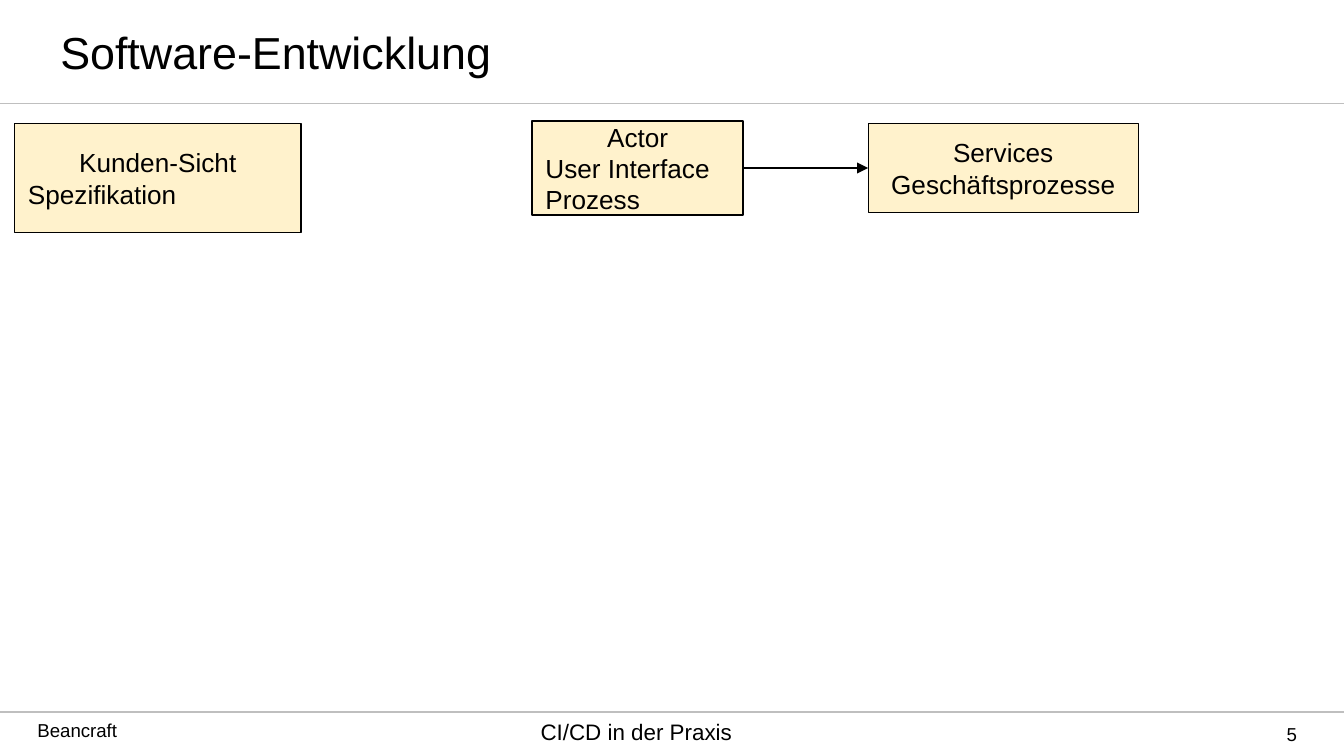
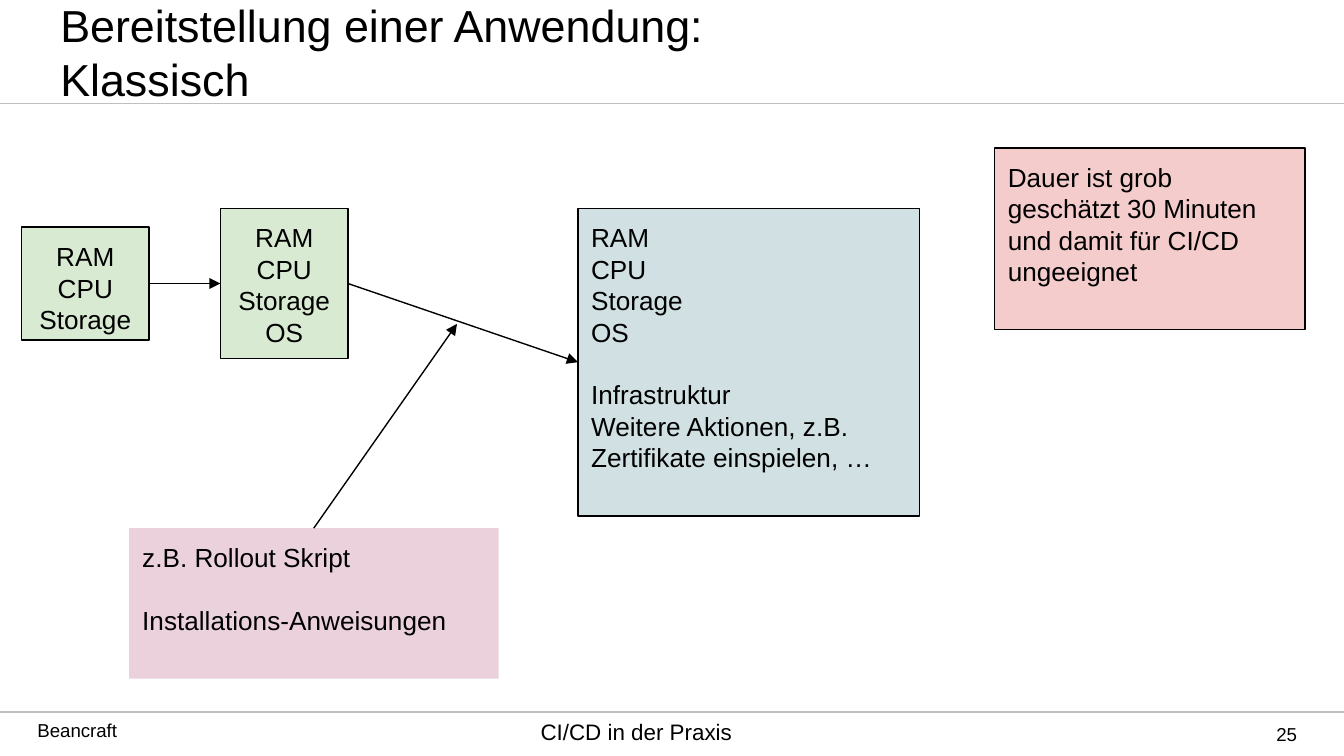
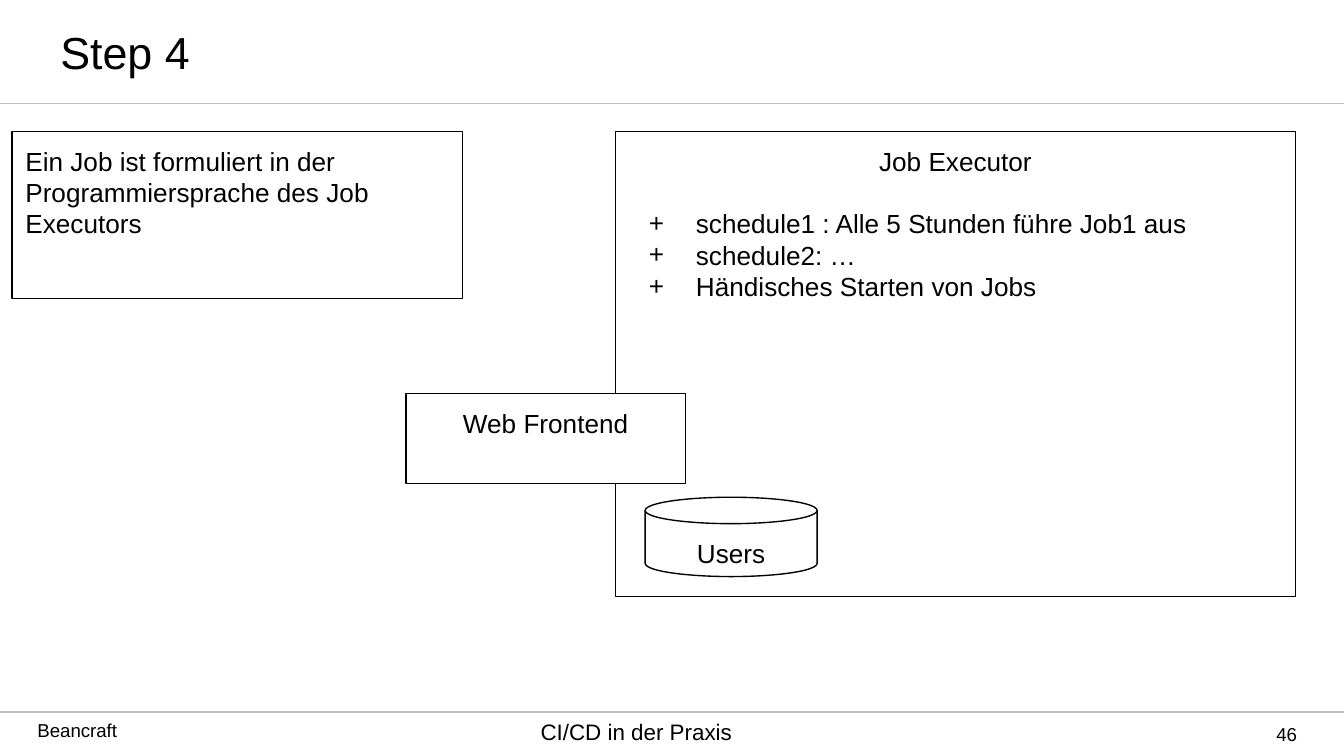
import lxml.etree
import pptx
import pptx.dml.color
import pptx.enum.shapes
import pptx.enum.text
import pptx.oxml.ns
import pptx.util

Inches = pptx.util.Inches
Pt = pptx.util.Pt
qn = pptx.oxml.ns.qn
ALIGN = pptx.enum.text.PP_ALIGN
ANCHOR = pptx.enum.text.MSO_ANCHOR
SHAPE = pptx.enum.shapes.MSO_SHAPE

COLORS = {
    "ink": "000000",
    "rule": "BFBFBF",
    "white": "FFFFFF",
    "cream": "FFF2CC",
    "green": "D9EAD3",
    "blue": "D0E0E3",
    "pink": "EAD1DC",
    "red": "F4CCCC",
}
FONT = "Arial"
WIDE = 10
HIGH = WIDE * 9 / 16
TOP, LEFT, RIGHT = 0, 1, 3

MID = {"alignment": ALIGN.CENTER}
START = {"alignment": ALIGN.LEFT}
END = {"alignment": ALIGN.RIGHT}
GAP = {"space_before": Pt(16.8)}


def color(name):
    return pptx.dml.color.RGBColor.from_string(COLORS[name])


def style(item, values):
    for key, value in values.items():
        setattr(item, key, value)


def write(frame, lines, size, look, inset, anchor):
    side, edge = map(Inches, inset)
    style(frame, {
        "word_wrap": True, "vertical_anchor": anchor,
        "margin_left": side, "margin_right": side,
        "margin_top": edge, "margin_bottom": edge,
    })
    for spot, line in enumerate(lines):
        text, extra = line if isinstance(line, tuple) else (line, {})
        para = frame.add_paragraph() if spot else frame.paragraphs[0]
        style(para, {**look, **extra})
        run = para.add_run()
        run.text = text
        style(run.font, {"name": FONT, "size": Pt(size)})
        run.font.color.rgb = color("ink")


def label(slide, area, text, size, look=START, inset=(0.1, 0), anchor=ANCHOR.TOP):
    field = slide.shapes.add_textbox(*map(Inches, area))
    write(field.text_frame, [text], size, look, inset, anchor)


def box(slide, area, fill, lines, look=START, anchor=ANCHOR.TOP,
        kind=SHAPE.RECTANGLE, border=True):
    shape = slide.shapes.add_shape(kind, *map(Inches, area))
    shape.shadow.inherit = False
    shape.fill.solid()
    shape.fill.fore_color.rgb = color(fill)
    if border:
        shape.line.color.rgb = color("ink")
        shape.line.width = Pt(0.75)
    else:
        shape.line.fill.background()
    write(shape.text_frame, lines, 14, look, (0.1, 0.1), anchor)
    return shape


def rule(slide, start, end, tint="rule", width=1):
    line = slide.shapes.add_connector(
        pptx.enum.shapes.MSO_CONNECTOR.STRAIGHT, *map(Inches, start + end))
    line.line.color.rgb = color(tint)
    line.line.width = Pt(width)
    lxml.etree.SubElement(line._element.spPr, qn("a:effectLst"))
    return line


def arrow(slide, source, side, target=None, tip=(0, 0)):
    line = rule(slide, (0, 0), tip, "ink", 0.75)
    line.begin_connect(source, side)
    if target is not None:
        line.end_connect(target, LEFT)
    lxml.etree.SubElement(line.line._get_or_add_ln(), qn("a:tailEnd"), type="triangle")


def bullet(para, mark):
    props = para._p.get_or_add_pPr()
    for key, value in {"marL": 0.5, "indent": -0.35}.items():
        props.set(key, str(Inches(value)))
    tint = lxml.etree.SubElement(props, qn("a:buClr"))
    lxml.etree.SubElement(tint, qn("a:srgbClr"), val=COLORS["ink"])
    lxml.etree.SubElement(props, qn("a:buFont"), typeface=FONT)
    lxml.etree.SubElement(props, qn("a:buChar"), char=mark)


def page(deck, title, number):
    slide = deck.slides.add_slide(deck.slide_layouts[6])
    for y in (5.3, 0.77):
        rule(slide, (0, y), (WIDE, y))
    label(slide, (0.18, 5.35, 1.95, 0.22), "Beancraft", 10)
    label(slide, (3.17, 5.34, 3.13, 0.33), "CI/CD in der Praxis", 12, MID)
    label(slide, (0.35, 0, 6.22, 0.77), title, 24, START, (0.1, 0.05), ANCHOR.MIDDLE)
    label(slide, (8.75, 5.3, 0.9, 0.33), str(number), 10, END, (0, 0), ANCHOR.MIDDLE)
    return slide


def roles(deck):
    slide = page(deck, "Software-Entwicklung", 5)
    box(slide, (0.11, 0.92, 2.13, 0.81), "cream",
        [("Kunden-Sicht", MID), "Spezifikation"], anchor=ANCHOR.MIDDLE)
    actor = box(slide, (3.96, 0.9, 1.57, 0.7), "cream",
                [("Actor", MID), "User Interface", "Prozess"], anchor=ANCHOR.MIDDLE)
    service = box(slide, (6.46, 0.92, 2.01, 0.66), "cream",
                  ["Services", "Geschäftsprozesse"], MID, ANCHOR.MIDDLE)
    arrow(slide, actor, RIGHT, service)


def rollout(deck):
    slide = page(deck, "Bereitstellung einer Anwendung: Klassisch", 25)
    parts = ["RAM", "CPU", "Storage"]
    system = parts + ["OS"]
    bare = box(slide, (0.16, 1.69, 0.95, 0.84), "green", parts, MID)
    host = box(slide, (1.64, 1.55, 0.95, 1.12), "green", system, MID)
    full = box(slide, (4.3, 1.55, 2.54, 2.29), "blue",
               system + [("Infrastruktur", GAP),
                         "Weitere Aktionen, z.B. Zertifikate einspielen, …"])
    script = box(slide, (0.96, 3.93, 2.75, 1.12), "pink",
                 ["z.B. Rollout Skript", ("Installations-Anweisungen", GAP)],
                 border=False)
    arrow(slide, bare, RIGHT, host)
    arrow(slide, host, RIGHT, full)
    arrow(slide, script, TOP, tip=(3.4, 2.41))
    box(slide, (7.4, 1.1, 2.31, 1.35), "red",
        ["Dauer ist grob geschätzt 30 Minuten", "und damit für CI/CD ungeeignet"])


def jobs(deck):
    slide = page(deck, "Step 4", 46)
    runner = box(slide, (4.58, 0.98, 5.06, 3.46), "white", [
        ("Job Executor", MID),
        ("schedule1 : Alle 5 Stunden führe Job1 aus", GAP),
        "schedule2: …",
        "Händisches Starten von Jobs",
    ])
    for para in runner.text_frame.paragraphs[1:]:
        bullet(para, "+")
    box(slide, (3.02, 2.93, 2.08, 0.67), "white", ["Web Frontend"], MID)
    box(slide, (4.8, 3.7, 1.28, 0.59), "white", ["Users"], MID,
        kind=SHAPE.FLOWCHART_MAGNETIC_DISK)
    box(slide, (0.09, 0.98, 3.35, 1.24), "white",
        ["Ein Job ist formuliert in der Programmiersprache des Job Executors"])


def main():
    deck = pptx.Presentation()
    style(deck, {"slide_width": Inches(WIDE), "slide_height": Inches(HIGH)})
    for build in (roles, rollout, jobs):
        build(deck)
    deck.save("out.pptx")


if __name__ == "__main__":
    main()
